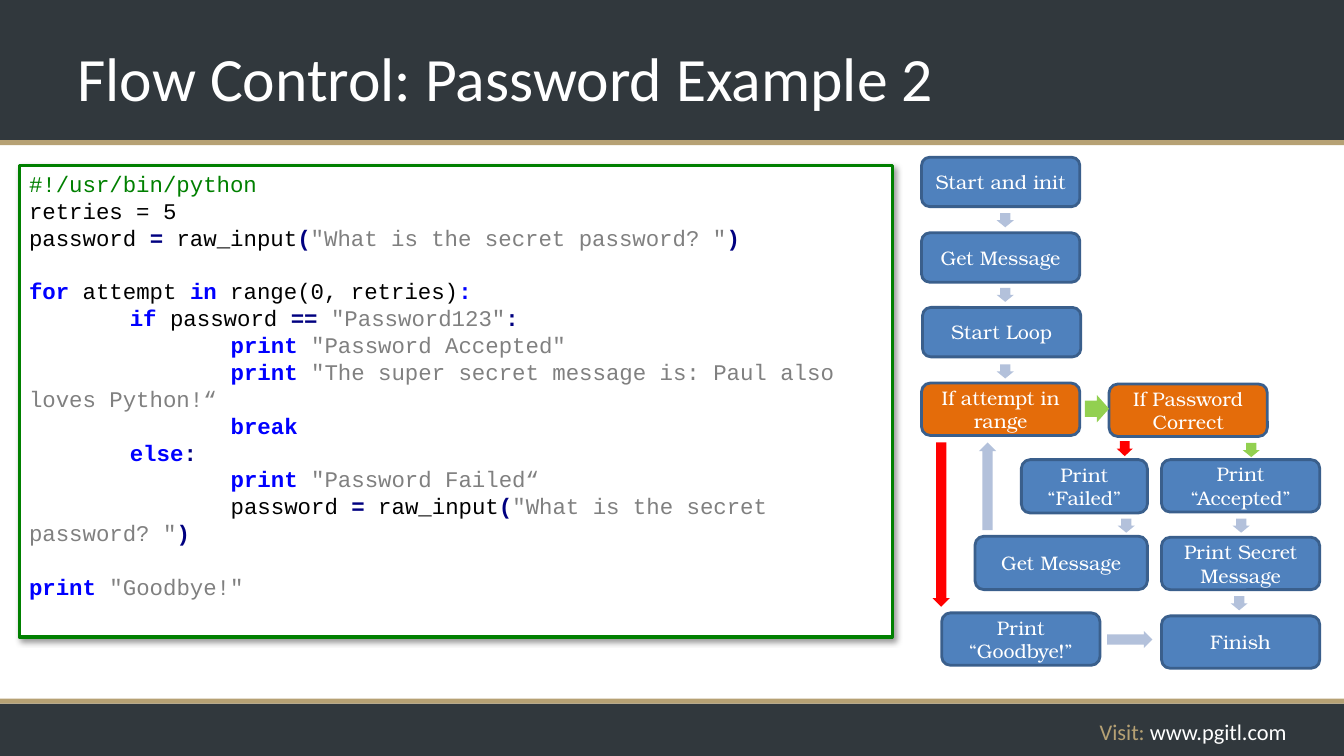
from lxml import etree
from pptx import Presentation
from pptx.dml.color import RGBColor
from pptx.enum.shapes import MSO_SHAPE as Shape
from pptx.enum.text import MSO_ANCHOR as Anchor, PP_ALIGN as Align
from pptx.oxml import parse_xml
from pptx.oxml.ns import nsdecls, qn
from pptx.util import Inches, Pt

DARK, GOLD, WHITE = "31383D", "B6A174", "FFFFFF"
BLUE, ORANGE, EDGE = "4F81BD", "E46C0A", "3A5F8C"
PALE, GREEN, RED = "B3C1DB", "92D050", "FF0000"


def color(value):
    return RGBColor.from_string(value)


def add_block(kind, left, top, width, height, fill, line=None, line_width=2):
    shape = slide.shapes.add_shape(
        kind, Inches(left), Inches(top), Inches(width), Inches(height))
    shape.shadow.inherit = False
    shape.fill.solid()
    shape.fill.fore_color.rgb = color(fill)
    if line:
        shape.line.color.rgb = color(line)
        shape.line.width = Pt(line_width)
    else:
        shape.line.fill.background()
    return shape


presentation = Presentation()
presentation.slide_width = Inches(13.33)
presentation.slide_height = Inches(7.5)
slide = presentation.slides.add_slide(presentation.slide_layouts[6])

bands = [(0, 1.39, DARK), (6.98, 0.52, DARK), (6.93, 0.05, GOLD), (1.39, 0.05, GOLD)]
for top, height, fill in bands:
    add_block(Shape.RECTANGLE, 0, top, 13.33, height, fill)

labels = [
    (0.67, 0.14, 9.46, 1.25, 44, Align.LEFT, Anchor.MIDDLE,
     [("Flow Control: Password Example 2", WHITE)]),
    (9.08, 7.08, 3.78, 0.37, 16, Align.RIGHT, Anchor.TOP,
     [("Visit: ", GOLD), ("www.pgitl.com", WHITE)]),
]
for left, top, width, height, size, align, anchor, runs in labels:
    box = slide.shapes.add_textbox(
        Inches(left), Inches(top), Inches(width), Inches(height))
    frame = box.text_frame
    frame.word_wrap = True
    frame.vertical_anchor = anchor
    paragraph = frame.paragraphs[0]
    paragraph.alignment = align
    paragraph.font.size = Pt(size)
    paragraph.font.name = "Calibri"
    for text, run_color in runs:
        run = paragraph.add_run()
        run.text = text
        run.font.color.rgb = color(run_color)

code_box = add_block(Shape.RECTANGLE, 0.19, 1.64, 8.66, 4.68, WHITE, "008000", 2.25)
effects = code_box._element.spPr.find(qn("a:effectLst"))
effects.append(parse_xml(
    f'<a:outerShdw {nsdecls("a")} blurRad="50800" dist="38100" dir="2700000" algn="tl">'
    '<a:srgbClr val="000000"><a:alpha val="40000"/></a:srgbClr></a:outerShdw>'))

styles = {
    "comment": ("008000", False),
    "plain": ("000000", False),
    "keyword": ("0000FF", True),
    "operator": ("000080", True),
    "string": ("808080", False),
}
code_lines = [
    (0, [("#!/usr/bin/python", "comment")]),
    (0, [("retries = 5", "plain")]),
    (0, [("password ", "plain"), ("=", "operator"), (" raw_input", "plain"),
         ("(", "operator"), ('"What is the secret password? "', "string"),
         (")", "operator")]),
    (19, [("for", "keyword"), (" attempt ", "plain"), ("in", "keyword"),
          (" range(0, retries)", "plain"), (":", "keyword")]),
    (0, [("\tif", "keyword"), (" password ", "plain"), ("==", "operator"),
         (' "Password123"', "string"), (":", "operator")]),
    (0, [("\t\tprint", "keyword"), (' "Password Accepted"', "string")]),
    (0, [("\t\tprint", "keyword"),
         (' "The super secret message is: Paul also loves Python!“', "string")]),
    (0, [("\t\tbreak", "keyword")]),
    (0, [("\telse", "keyword"), (":", "operator")]),
    (0, [("\t\tprint", "keyword"), (' "Password Failed“', "string")]),
    (0, [("\t\tpassword ", "plain"), ("=", "operator"), (" raw_input", "plain"),
         ("(", "operator"), ('"What is the secret password? "', "string"),
         (")", "operator")]),
    (19, [("print", "keyword"), (' "Goodbye!"', "string")]),
]
frame = code_box.text_frame
frame.word_wrap = True
frame.vertical_anchor = Anchor.TOP
for index, (gap, runs) in enumerate(code_lines):
    paragraph = frame.add_paragraph() if index else frame.paragraphs[0]
    paragraph.alignment = Align.LEFT
    paragraph.space_before = Pt(gap)
    tabs = etree.SubElement(paragraph._p.get_or_add_pPr(), qn("a:tabLst"))
    for stop in (1, 2):
        etree.SubElement(tabs, qn("a:tab"), pos=str(Inches(stop)), algn="l")
    paragraph.font.size = Pt(16)
    paragraph.font.name = "Courier New"
    for text, style in runs:
        run = paragraph.add_run()
        run.text = text
        run_color, bold = styles[style]
        run.font.color.rgb = color(run_color)
        run.font.bold = bold

steps = [
    ("Start and init", 9.14, 1.56, 1.57, 0.49, BLUE),
    ("Get Message", 9.14, 2.31, 1.57, 0.49, BLUE),
    ("Start Loop", 9.15, 3.05, 1.57, 0.49, BLUE),
    ("If attempt in range", 9.14, 3.8, 1.57, 0.52, ORANGE),
    ("If Password Correct", 11, 3.81, 1.57, 0.52, ORANGE),
    ("Print “Failed”", 10.13, 4.56, 1.25, 0.53, BLUE),
    ("Print “Accepted”", 11.52, 4.56, 1.57, 0.52, BLUE),
    ("Get Message", 9.67, 5.32, 1.71, 0.53, BLUE),
    ("Print Secret Message", 11.52, 5.33, 1.57, 0.52, BLUE),
    ("Print “Goodbye!”", 9.34, 6.08, 1.57, 0.52, BLUE),
    ("Finish", 11.52, 6.11, 1.57, 0.52, BLUE),
]
for text, left, top, width, height, fill in steps:
    step = add_block(Shape.ROUNDED_RECTANGLE, left, top, width, height, fill, EDGE)
    frame = step.text_frame
    frame.word_wrap = True
    frame.vertical_anchor = Anchor.MIDDLE
    paragraph = frame.paragraphs[0]
    paragraph.text = text
    paragraph.alignment = Align.CENTER
    paragraph.font.size = Pt(14)
    paragraph.font.name = "TeX Gyre Bonum"
    paragraph.font.color.rgb = color(WHITE)

arrows = [
    (9.9, 2.1, 0.14, 0.17, 90, PALE),
    (9.9, 2.84, 0.14, 0.17, 90, PALE),
    (9.9, 3.6, 0.14, 0.17, 90, PALE),
    (10.76, 3.92, 0.24, 0.27, 0, GREEN),
    (11.08, 4.37, 0.15, 0.16, 90, RED),
    (12.34, 4.38, 0.14, 0.17, 90, GREEN),
    (11.1, 5.13, 0.14, 0.17, 90, PALE),
    (12.24, 5.13, 0.14, 0.17, 90, PALE),
    (12.22, 5.9, 0.14, 0.17, 90, PALE),
    (9.36, 4.74, 0.87, 0.17, 270, PALE),
    (8.52, 5.12, 1.63, 0.17, 90, RED),
    (10.98, 6.26, 0.45, 0.17, 0, PALE),
]
for left, top, width, height, rotation, fill in arrows:
    arrow = add_block(Shape.RIGHT_ARROW, left, top, width, height, fill)
    arrow.rotation = rotation
    arrow.adjustments[0] = 0.6
    arrow.adjustments[1] = 0.5

presentation.save("out.pptx")
